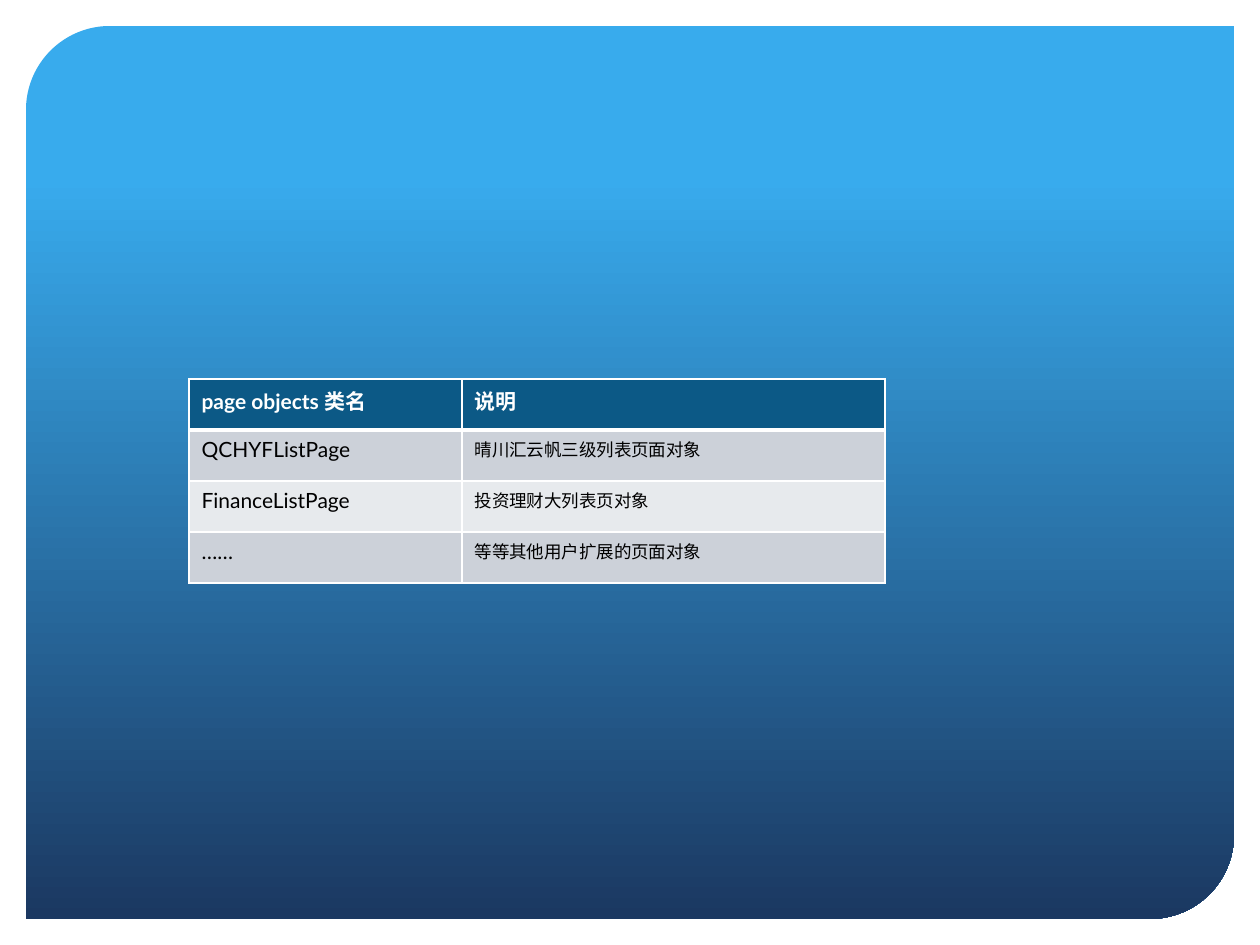
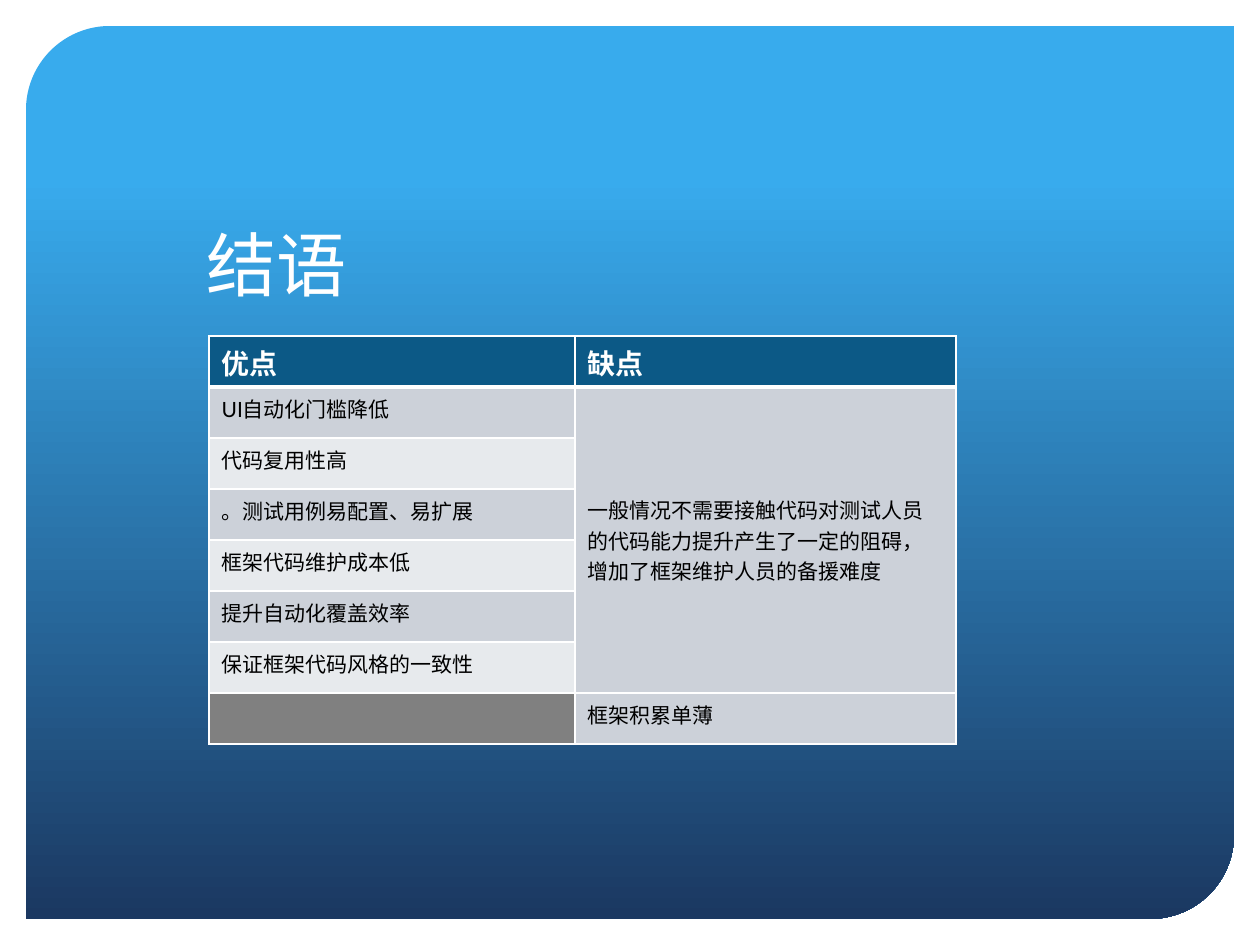
from lxml import etree
from pptx import Presentation
from pptx import util as u
from pptx.dml import color
from pptx.enum import shapes, text
from pptx.oxml import ns

PX_PER_INCH = 126
TITLE_ONLY, BLANK = 5, 6


def px(length):
    return u.Emu(round(length * 914400 / PX_PER_INCH))


def rgb(hex_string):
    return color.RGBColor.from_string(hex_string)


def write(frame, content, size=12, ink="000000", bold=False, font="Lato"):
    paragraph = frame.paragraphs[0]
    paragraph.alignment = text.PP_ALIGN.LEFT
    run = paragraph.add_run()
    run.text = content
    run.font.name = font
    run.font.size = u.Pt(size)
    run.font.bold = bold
    run.font.color.rgb = rgb(ink)


class Deck:
    WHITE = "FFFFFF"
    HEADER = "0C5986"
    BANDS = ("CCD1D9", "E7EAED")
    EMPTY = "808080"
    SKY = ((0.17, "38ABED"), (1, "1B3861"))

    def __init__(self):
        self.prs = Presentation()
        self.prs.slide_width, self.prs.slide_height = px(1260), px(945)
        self.slide = None

    def new_slide(self, title=None):
        layout = TITLE_ONLY if title else BLANK
        self.slide = self.prs.slides.add_slide(self.prs.slide_layouts[layout])
        self.backdrop()
        if title:
            self.title(title)

    def backdrop(self):
        panel = self.slide.shapes.add_shape(
            shapes.MSO_SHAPE.ROUND_2_DIAG_RECTANGLE, px(26), px(26), px(1208), px(893))
        panel.adjustments[0], panel.adjustments[1] = 0.094, 0
        panel.shadow.inherit = False
        panel.line.fill.background()
        panel.fill.gradient()
        panel.fill.gradient_angle = 270
        for stop, (position, shade) in zip(panel.fill.gradient_stops, self.SKY):
            stop.position = position
            stop.color.rgb = rgb(shade)

    def title(self, content):
        heading = self.slide.shapes.title
        heading.element.getparent().append(heading.element)
        heading.left, heading.top = px(194), px(215)
        heading.width, heading.height = px(170), px(97)
        frame = heading.text_frame
        frame.word_wrap = False
        frame.auto_size = text.MSO_AUTO_SIZE.SHAPE_TO_FIT_TEXT
        frame.vertical_anchor = text.MSO_ANCHOR.TOP
        write(frame, content, size=40, ink=self.WHITE)

    def borders(self, cell, top=1, bottom=1):
        properties = cell._tc.get_or_add_tcPr()
        widths = {"L": 1, "R": 1, "T": top, "B": bottom}
        for index, (side, width) in enumerate(widths.items()):
            line = etree.Element(ns.qn(f"a:ln{side}"), w=str(u.Pt(width)))
            fill = etree.SubElement(line, ns.qn("a:solidFill"))
            etree.SubElement(fill, ns.qn("a:srgbClr"), val=self.WHITE)
            properties.insert(index, line)

    def table(self, left, top, columns, rows, row_height=51, header_size=12, note_size=12):
        grid = self.slide.shapes.add_table(
            len(rows), len(columns), px(left), px(top),
            px(sum(columns)), px(row_height * len(rows))).table
        for column, width in zip(grid.columns, columns):
            column.width = px(width)
        for r, row in enumerate(rows):
            grid.rows[r].height = px(row_height)
            for c, content in enumerate(row):
                cell = grid.cell(r, c)
                shade = self.BANDS[(r - 1) % 2] if r else self.HEADER
                cell.fill.solid()
                cell.fill.fore_color.rgb = rgb(self.EMPTY if content == "" else shade)
                self.borders(cell, top=3 if r == 1 else 1, bottom=1 if r else 3)
                if not content:
                    continue
                if r == 0:
                    write(cell.text_frame, content, size=header_size, ink=self.WHITE, bold=True)
                else:
                    write(cell.text_frame, content, size=note_size if c else 12)
        return grid


def main():
    deck = Deck()

    deck.new_slide()
    deck.table(189, 379, (273, 423), (
        ("page objects 类名", "说明"),
        ("QCHYFListPage", "晴川汇云帆三级列表页面对象"),
        ("FinanceListPage", "投资理财大列表页对象"),
        ("……", "等等其他用户扩展的页面对象"),
    ), note_size=10)

    deck.new_slide("结语")
    drawback = "一般情况不需要接触代码对测试人员的代码能力提升产生了一定的阻碍，增加了框架维护人员的备援难度"
    pros_and_cons = deck.table(209, 336, (366, 381), (
        ("优点", "缺点"),
        ("UI自动化门槛降低", drawback),
        ("代码复用性高", None),
        ("。测试用例易配置、易扩展", None),
        ("框架代码维护成本低", None),
        ("提升自动化覆盖效率", None),
        ("保证框架代码风格的一致性", None),
        ("", "框架积累单薄"),
    ), header_size=16)
    drawback_cell = pros_and_cons.cell(1, 1)
    drawback_cell.merge(pros_and_cons.cell(6, 1))
    drawback_cell.vertical_anchor = text.MSO_ANCHOR.MIDDLE

    deck.prs.save("out.pptx")


if __name__ == "__main__":
    main()
